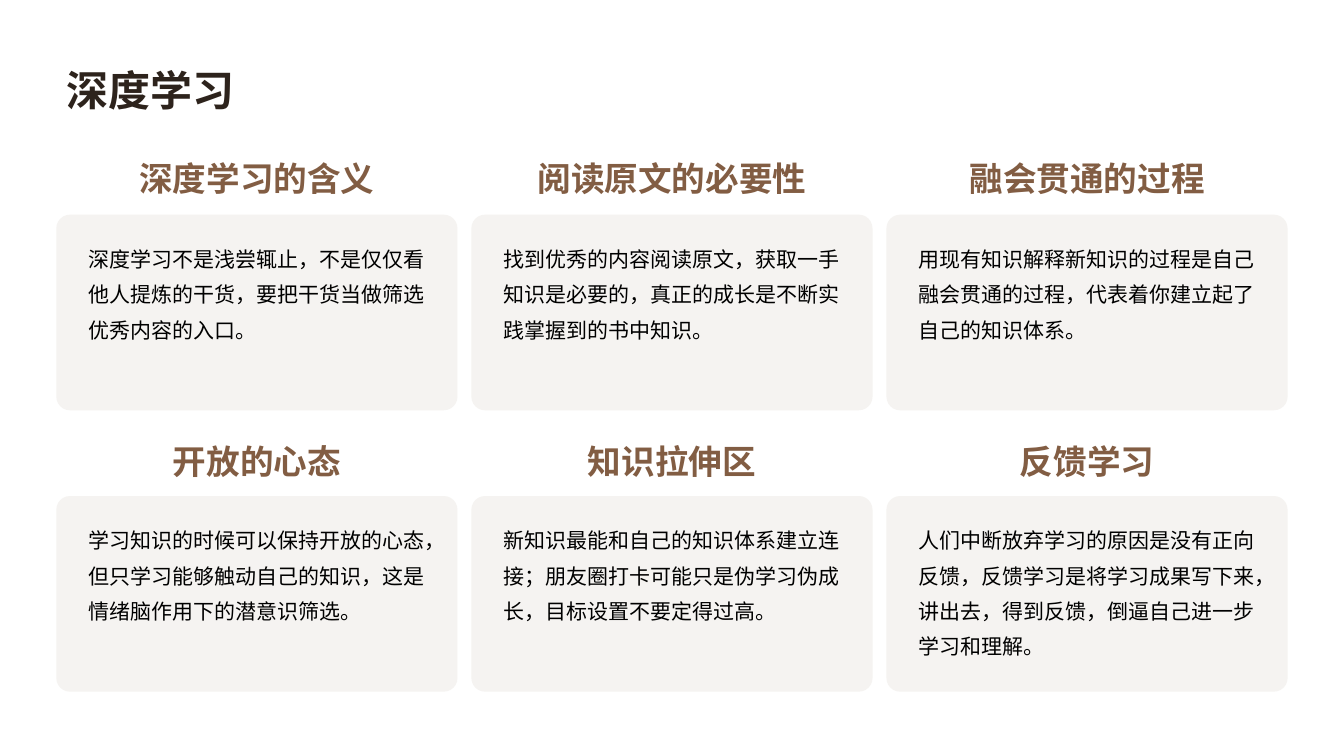
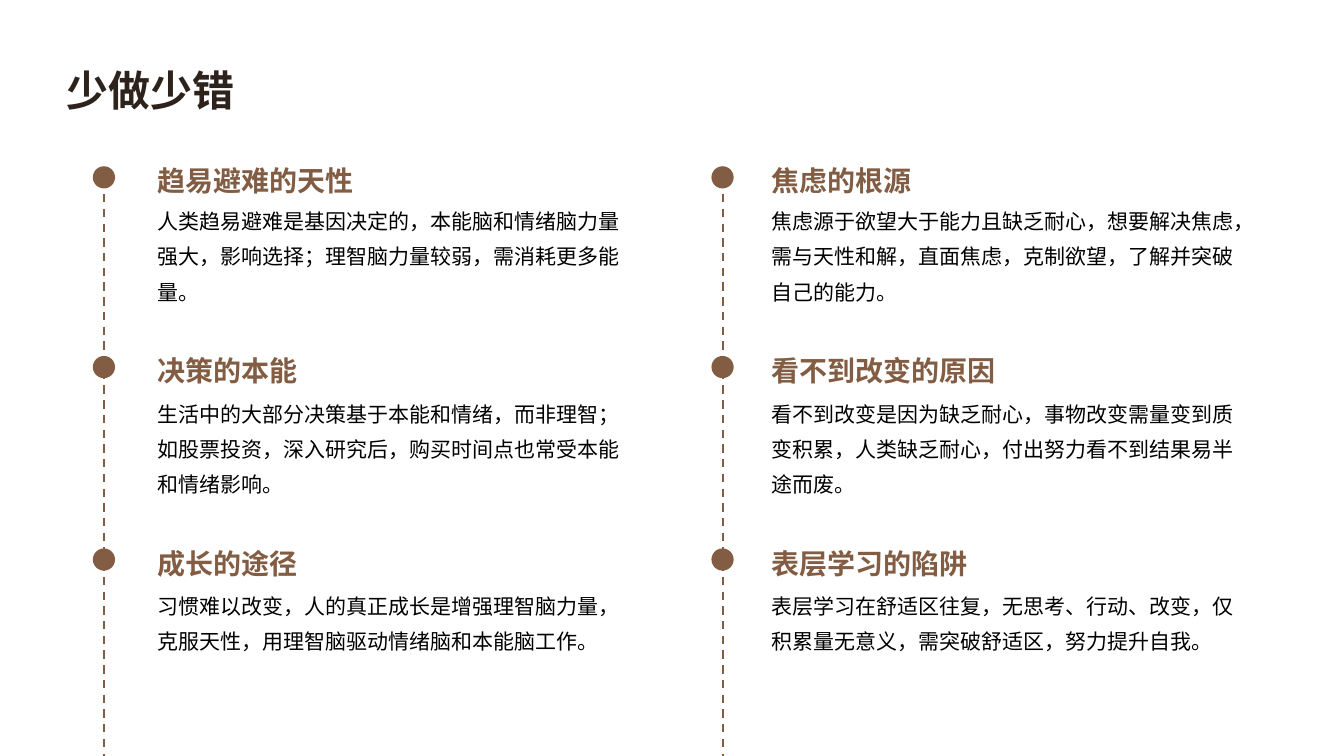
import pptx
import pptx.dml.color
import pptx.enum.dml
import pptx.enum.lang
import pptx.enum.shapes
import pptx.enum.text
import pptx.oxml
import pptx.oxml.ns
import pptx.util
from pptx.util import Cm

RGBColor = pptx.dml.color.RGBColor
INK = RGBColor(0x2D, 0x23, 0x1C)
BROWN = RGBColor(0x82, 0x5D, 0x43)
CARD = RGBColor(0xEF, 0xEC, 0xE8)
BLACK = RGBColor(0, 0, 0)
FONT = "Noto Sans CJK SC"
CARD_OPACITY = 60

Shape = pptx.enum.shapes.MSO_SHAPE
Align = pptx.enum.text.PP_ALIGN
Anchor = pptx.enum.text.MSO_ANCHOR

# Insets in cm: left, top, right, bottom
WIDE_INSETS = (0.36, 0.36, 0.15, 0.36)
STYLES = {
    "title": {"font": {"size": 30, "bold": True, "color": INK},
              "paragraph": {"line_spacing": 1.4},
              "insets": WIDE_INSETS, "anchor": Anchor.MIDDLE},
    "card heading": {"font": {"size": 24, "bold": True, "color": BROWN},
                     "paragraph": {"alignment": Align.CENTER},
                     "insets": (0.25, 0.13, 0.25, 0.13), "anchor": Anchor.TOP},
    "card body": {"font": {"size": 15, "bold": False, "color": BLACK},
                  "paragraph": {"line_spacing": 1.4},
                  "insets": (0.18, 0.1, 0.18, 0.1), "anchor": Anchor.TOP},
    "step heading": {"font": {"size": 20, "bold": True, "color": BROWN},
                     "paragraph": {"line_spacing": 1.2},
                     "insets": WIDE_INSETS, "anchor": Anchor.MIDDLE},
    "step body": {"font": {"size": 15, "bold": False, "color": BLACK},
                  "paragraph": {"line_spacing": 1.4},
                  "insets": (0.36, 0, 0.15, 0), "anchor": Anchor.TOP},
}

CARDS_TITLE = "深度学习"
CARDS = [
    ("深度学习的含义",
     "深度学习不是浅尝辄止，不是仅仅看他人提炼的干货，要把干货当做筛选优秀内容的入口。"),
    ("阅读原文的必要性",
     "找到优秀的内容阅读原文，获取一手知识是必要的，真正的成长是不断实践掌握到的书中知识。"),
    ("融会贯通的过程",
     "用现有知识解释新知识的过程是自己融会贯通的过程，代表着你建立起了自己的知识体系。"),
    ("开放的心态",
     "学习知识的时候可以保持开放的心态，但只学习能够触动自己的知识，这是情绪脑作用下的潜意识筛选。"),
    ("知识拉伸区",
     "新知识最能和自己的知识体系建立连接；朋友圈打卡可能只是伪学习伪成长，目标设置不要定得过高。"),
    ("反馈学习",
     "人们中断放弃学习的原因是没有正向反馈，反馈学习是将学习成果写下来，讲出去，得到反馈，"
     "倒逼自己进一步学习和理解。"),
]

TIMELINE_TITLE = "少做少错"
TIMELINES = [
    [("趋易避难的天性",
      "人类趋易避难是基因决定的，本能脑和情绪脑力量强大，影响选择；理智脑力量较弱，需消耗更多能量。"),
     ("决策的本能",
      "生活中的大部分决策基于本能和情绪，而非理智；如股票投资，深入研究后，"
      "购买时间点也常受本能和情绪影响。"),
     ("成长的途径",
      "习惯难以改变，人的真正成长是增强理智脑力量，克服天性，用理智脑驱动情绪脑和本能脑工作。")],
    [("焦虑的根源",
      "焦虑源于欲望大于能力且缺乏耐心，想要解决焦虑，需与天性和解，直面焦虑，克制欲望，"
      "了解并突破自己的能力。"),
     ("看不到改变的原因",
      "看不到改变是因为缺乏耐心，事物改变需量变到质变积累，人类缺乏耐心，"
      "付出努力看不到结果易半途而废。"),
     ("表层学习的陷阱",
      "表层学习在舒适区往复，无思考、行动、改变，仅积累量无意义，需突破舒适区，努力提升自我。")],
]

# All positions below are in cm
SLIDE_WIDTH, SLIDE_HEIGHT = 33.87, 19.05
CARD_LEFT, CARD_PITCH, CARD_WIDTH, CARD_HEIGHT = 1.42, 10.46, 10.11, 4.93
CARD_ROWS = [(3.84, 5.41), (10.97, 12.5)]  # heading top, card top
CARD_PADDING_X, CARD_PADDING_Y = 0.63, 0.45
TIMELINE_COLUMNS = [(2.34, 3.61), (17.93, 19.08)]  # dot left, text left
STEP_ROWS = [(4.19, 5.0), (8.97, 9.86), (13.82, 14.7)]  # dot top, body top
DOT = 0.56
LINE_TOP = 4.52
STEP_WIDTH = 12.47


def add_text(page, style_name, text, left, top, width, height):
    style = STYLES[style_name]
    box = page.shapes.add_textbox(Cm(left), Cm(top), Cm(width), Cm(height))
    frame = box.text_frame
    frame.word_wrap = True
    frame.vertical_anchor = style["anchor"]
    for side, inset in zip(("left", "top", "right", "bottom"), style["insets"]):
        setattr(frame, f"margin_{side}", Cm(inset))
    para = frame.paragraphs[0]
    for name, value in style["paragraph"].items():
        setattr(para, name, value)
    span = para.add_run()
    span.text = text
    font = span.font
    font.name = FONT
    font.language_id = pptx.enum.lang.MSO_LANGUAGE_ID.SIMPLIFIED_CHINESE
    font.size = pptx.util.Pt(style["font"]["size"])
    font.bold = style["font"]["bold"]
    font.color.rgb = style["font"]["color"]
    east_asian = pptx.oxml.ns.qn("a:ea")
    span._r.get_or_add_rPr().append(
        span._r.makeelement(east_asian, {"typeface": FONT}))


def add_filled(shapes, kind, color, left, top, width, height):
    shape = shapes.add_shape(kind, Cm(left), Cm(top), Cm(width), Cm(height))
    shape.shadow.inherit = False
    shape.fill.solid()
    shape.fill.fore_color.rgb = color
    shape.line.fill.background()
    return shape


def add_card(page, left, top):
    card = add_filled(page.shapes, Shape.ROUNDED_RECTANGLE, CARD,
                      left, top, CARD_WIDTH, CARD_HEIGHT)
    card.adjustments[0] = 0.07
    color = card.fill._xPr.find(".//" + pptx.oxml.ns.qn("a:srgbClr"))
    color.append(color.makeelement(pptx.oxml.ns.qn("a:alpha"),
                                   {"val": str(CARD_OPACITY * 1000)}))


def add_track(page, dot_left):
    """Group the dots of one timeline with its dashed line."""
    track = page.shapes.add_group_shape()
    for dot_top, _ in STEP_ROWS:
        add_filled(track.shapes, Shape.OVAL, BROWN, dot_left, dot_top, DOT, DOT)
    center = Cm(dot_left + DOT / 2)
    line = track.shapes.add_connector(pptx.enum.shapes.MSO_CONNECTOR.STRAIGHT,
                                      center, Cm(LINE_TOP), center, Cm(SLIDE_HEIGHT))
    line.line.color.rgb = BROWN
    line.line.width = pptx.util.Pt(1.5)
    line.line.dash_style = pptx.enum.dml.MSO_LINE.DASH
    properties = line._element.spPr
    properties.append(properties.makeelement(pptx.oxml.ns.qn("a:effectLst"), {}))


def add_page(deck, title):
    page = deck.slides.add_slide(deck.slide_layouts[6])
    add_text(page, "title", title, 1.32, 0.74, 31.22, 2.54)
    return page


def build_cards(deck):
    page = add_page(deck, CARDS_TITLE)
    for index, (heading, body) in enumerate(CARDS):
        row, column = divmod(index, 3)
        heading_top, card_top = CARD_ROWS[row]
        left = CARD_LEFT + column * CARD_PITCH
        add_card(page, left, card_top)
        add_text(page, "card heading", heading, left, heading_top, CARD_WIDTH, 1.4)
        add_text(page, "card body", body,
                 left + CARD_PADDING_X, card_top + CARD_PADDING_Y,
                 CARD_WIDTH - 2 * CARD_PADDING_X, CARD_HEIGHT - 2 * CARD_PADDING_Y)


def build_timelines(deck):
    page = add_page(deck, TIMELINE_TITLE)
    for (dot_left, text_left), steps in zip(TIMELINE_COLUMNS, TIMELINES):
        add_track(page, dot_left)
        for (dot_top, body_top), (heading, body) in zip(STEP_ROWS, steps):
            add_text(page, "step heading", heading,
                     text_left, dot_top - DOT, STEP_WIDTH, 3 * DOT)
            add_text(page, "step body", body, text_left, body_top, STEP_WIDTH, 3.2)


def main():
    deck = pptx.Presentation()
    deck.slide_width = Cm(SLIDE_WIDTH)
    deck.slide_height = Cm(SLIDE_HEIGHT)
    build_cards(deck)
    build_timelines(deck)
    deck.save("out.pptx")


if __name__ == "__main__":
    main()
